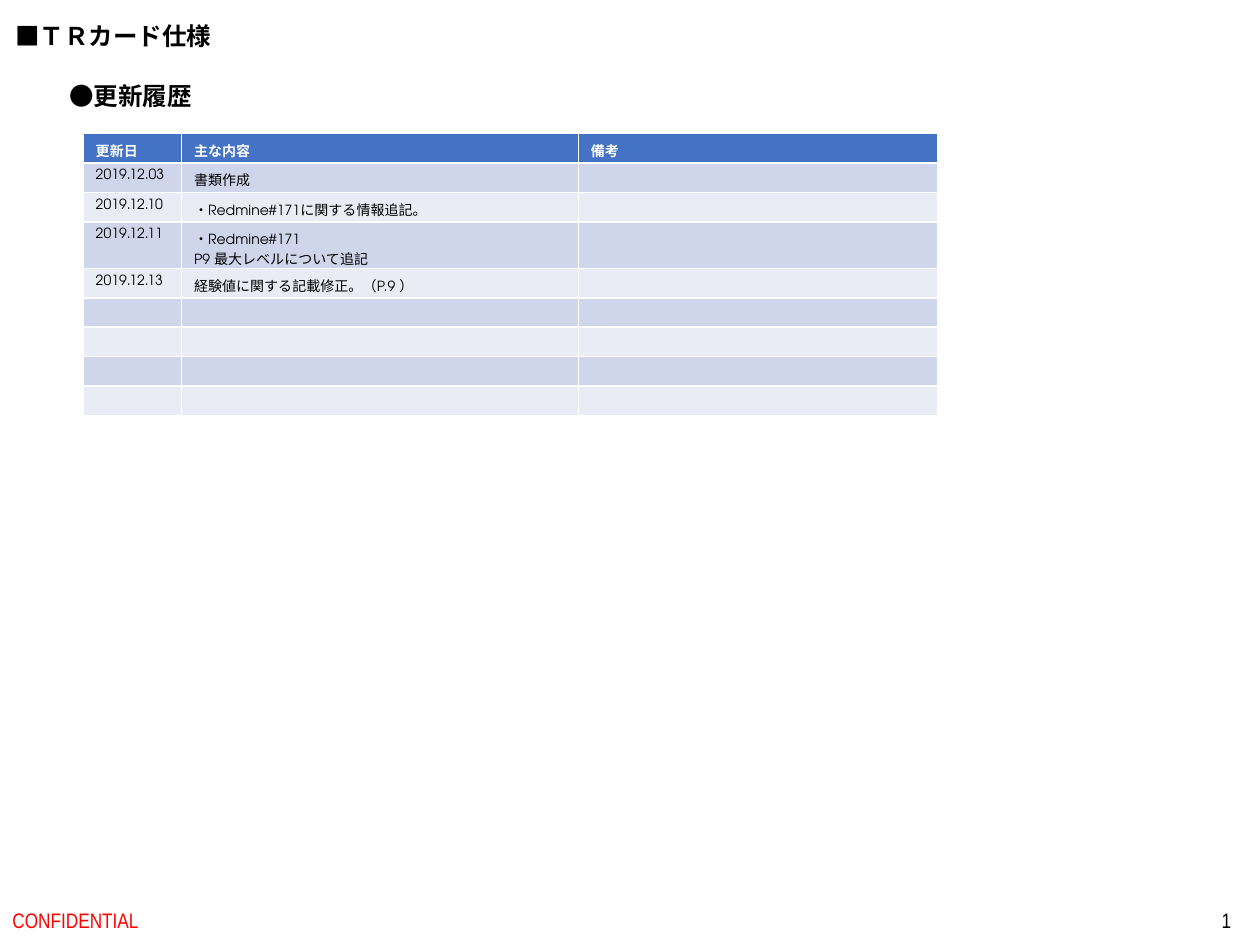
from lxml import etree
from pptx import Presentation
from pptx.dml.color import RGBColor
from pptx.enum import text as t
from pptx.oxml.ns import qn
from pptx.util import Inches, Pt

TITLE = "■ＴＲカード仕様"
HEAD = "●更新履歴"
FOOT = "CONFIDENTIAL"
PAGE = "1"
ROWS = [
    ("更新日", "主な内容", "備考"),
    ("2019.12.03", "書類作成", ""),
    ("2019.12.10", "・Redmine#171に関する情報追記。", ""),
    ("2019.12.11", "・Redmine#171\nP9 最大レベルについて追記", ""),
    ("2019.12.13", "経験値に関する記載修正。（P.9 ）", ""),
] + [("", "", "")] * 4
COLS = [0.78, 3.15, 2.85]
ROW_H, TALL_H = 0.23, 0.37
BODY = "TeX Gyre Adventor"
NARROW = "Arial Narrow"


def style(frame, font, size, color="000000", bold=False, align=t.PP_ALIGN.LEFT):
    for para in frame.paragraphs:
        para.alignment = align
        for run in para.runs:
            run.font.name = font
            run.font.size = Pt(size)
            run.font.bold = bold
            run.font.color.rgb = RGBColor.from_string(color)
        if not para.runs:
            # An empty line needs its own size to keep the row low
            etree.SubElement(para._p, qn("a:endParaRPr"), sz=str(size * 100))


def place(shape, box, words, wrap, anchor):
    shape.left, shape.top, shape.width, shape.height = map(Inches, box)
    frame = shape.text_frame
    frame.text = words
    frame.word_wrap = wrap
    frame.vertical_anchor = anchor
    if not wrap:
        frame.auto_size = t.MSO_AUTO_SIZE.SHAPE_TO_FIT_TEXT
    return frame


def add_box(slide, box, words, wrap, anchor):
    shape = slide.shapes.add_textbox(0, 0, 0, 0)
    return place(shape, box, words, wrap, anchor)


def add_log(slide):
    highs = [TALL_H if any("\n" in c for c in row) else ROW_H for row in ROWS]
    area = map(Inches, (0.66, 1.06, sum(COLS), sum(highs)))
    table = slide.shapes.add_table(len(ROWS), len(COLS), *area).table
    for col, wide in zip(table.columns, COLS):
        col.width = Inches(wide)
    for i, (row, high) in enumerate(zip(ROWS, highs)):
        table.rows[i].height = Inches(high)
        fill = "4472C4" if i == 0 else ("E9EBF5", "CFD5EA")[i % 2]
        for j, words in enumerate(row):
            cell = table.cell(i, j)
            cell.text = words
            cell.fill.solid()
            cell.fill.fore_color.rgb = RGBColor.from_string(fill)
            style(cell.text_frame, BODY, 8, "000000" if i else "FFFFFF", i == 0)


def main():
    deck = Presentation()
    deck.slide_width, deck.slide_height = Inches(10), Inches(7.5)
    slide = deck.slides.add_slide(deck.slide_layouts[5])
    top, mid = t.MSO_ANCHOR.TOP, t.MSO_ANCHOR.MIDDLE

    title = place(slide.shapes.title, (0.02, 0.12, 1.77, 0.34), TITLE, False, top)
    style(title, "Arial", 14, bold=True)
    foot = add_box(slide, (0, 7.1, 3.38, 0.4), FOOT, True, mid)
    style(foot, NARROW, 12, "FF0000")
    page = add_box(slide, (7.62, 7.1, 2.25, 0.4), PAGE, True, mid)
    style(page, NARROW, 12, align=t.PP_ALIGN.RIGHT)
    head = add_box(slide, (0.45, 0.59, 1.18, 0.34), HEAD, False, top)
    style(head, BODY, 14, bold=True)
    add_log(slide)
    deck.save("out.pptx")


if __name__ == "__main__":
    main()
